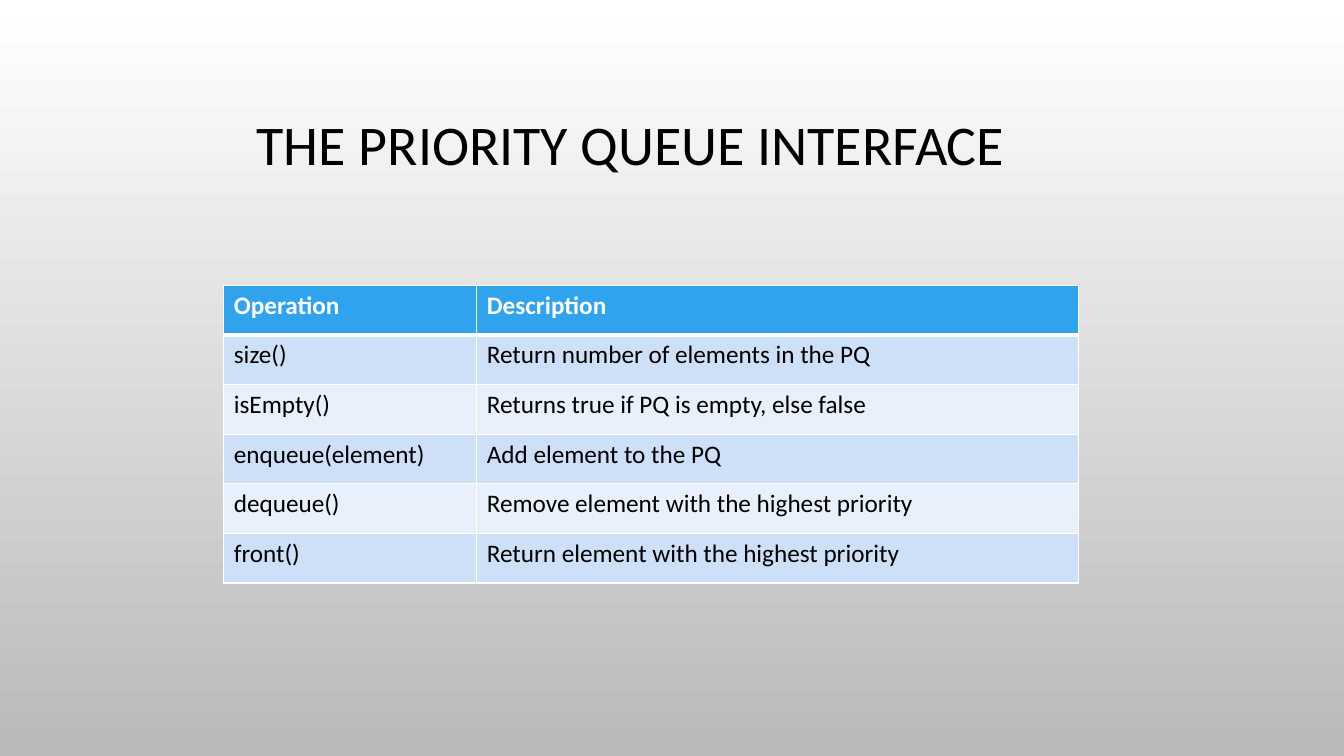
from lxml import etree
from pptx import Presentation
from pptx.dml.color import RGBColor
from pptx.enum.text import MSO_ANCHOR, PP_ALIGN
from pptx.oxml.ns import qn
from pptx.util import Cm, Pt

CENTER, MIDDLE = PP_ALIGN.CENTER, MSO_ANCHOR.MIDDLE
FONT = "Calibri"
BLACK, WHITE, HEADER = "000000", "FFFFFF", "2FA3EE"
BANDS = ("CDE0F8", "E8F0FC")
TITLE_BOX = (1.5, 1.5, 28.78, 4.45)
TABLE_BOX = (5.64, 7.19, 21.54, 7.5)
OPERATION_SHARE = 0.296
OPERATIONS = [
    ("Operation", "Description"),
    ("size()", "Return number of elements in the PQ"),
    ("isEmpty()", "Returns true if PQ is empty, else false"),
    ("enqueue(element)", "Add element to the PQ"),
    ("dequeue()", "Remove element with the highest priority"),
    ("front()", "Return element with the highest priority"),
]


def rgb(color):
    """Turn a hex string into a colour."""
    return RGBColor.from_string(color)


def add_run(p, text, size, color, bold=False):
    """Add one formatted run to a paragraph."""
    r = p.add_run()
    r.text = text
    r.font.name, r.font.size, r.font.bold = FONT, Pt(size), bold
    r.font.color.rgb = rgb(color)


def set_border(cell, side, width):
    """Draw a white line on one side of a cell, before its fill."""
    tcPr = cell._tc.get_or_add_tcPr()
    ln = etree.Element(qn(f"a:ln{side}"), w=str(Pt(width)))
    fill = etree.SubElement(ln, qn("a:solidFill"))
    etree.SubElement(fill, qn("a:srgbClr"), val=WHITE)
    tcPr.insert("LRTB".index(side), ln)


def paint_background(s):
    """Fade the background from white at the top to grey."""
    fill = s.background.fill
    fill.gradient()
    fill.gradient_angle = 270
    for stop, color in zip(fill.gradient_stops, (WHITE, "B9B9B9")):
        stop.color.rgb = rgb(color)


def fill_title(s, box, text):
    """Place and write the title placeholder."""
    sp = s.shapes.title
    sp.left, sp.top, sp.width, sp.height = map(Cm, box)
    tf = sp.text_frame
    tf.word_wrap, tf.vertical_anchor = True, MIDDLE
    p = tf.paragraphs[0]
    p.alignment, p.line_spacing = CENTER, 0.9
    add_run(p, text, 40, BLACK)


def add_operations(s, box, rows):
    """Add the banded table of operations, filling the box."""
    left, top, width, height = box
    table = s.shapes.add_table(len(rows), 2, *map(Cm, box)).table
    for col, share in zip(table.columns, (OPERATION_SHARE, 1 - OPERATION_SHARE)):
        col.width = Cm(width * share)
    for i, texts in enumerate(rows):
        table.rows[i].height = Cm(height / len(rows))
        head = i == 0
        for j, text in enumerate(texts):
            cell = table.cell(i, j)
            cell.fill.solid()
            cell.fill.fore_color.rgb = rgb(HEADER if head else BANDS[(i - 1) % 2])
            for side in "LRTB":
                heavy = (i, side) in ((0, "B"), (1, "T"))
                set_border(cell, side, 3 if heavy else 1)
            add_run(cell.text_frame.paragraphs[0], text, 18,
                    WHITE if head else BLACK, head)


def main():
    """Build the slide and save it."""
    prs = Presentation()
    prs.slide_width, prs.slide_height = Cm(33.87), Cm(19.05)
    s = prs.slides.add_slide(prs.slide_layouts[5])
    paint_background(s)
    fill_title(s, TITLE_BOX, "THE PRIORITY QUEUE INTERFACE")
    add_operations(s, TABLE_BOX, OPERATIONS)
    prs.save("out.pptx")


main()
